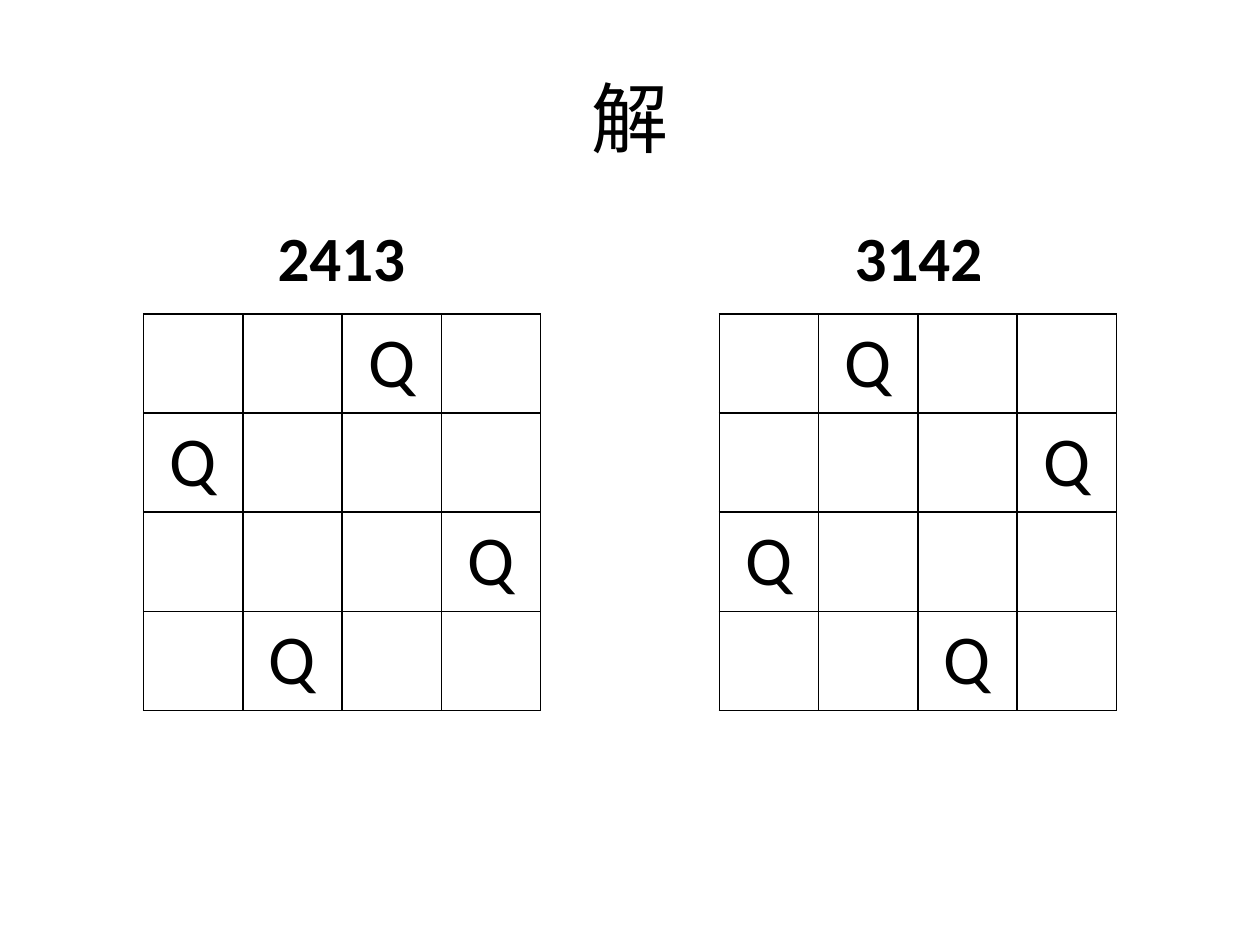
from lxml import etree
from pptx import Presentation
from pptx.dml.color import RGBColor
from pptx.enum.text import MSO_ANCHOR, PP_ALIGN
from pptx.oxml.ns import qn
from pptx.util import Inches, Pt

CENTER = PP_ALIGN.CENTER
MIDDLE, BOTTOM = MSO_ANCHOR.MIDDLE, MSO_ANCHOR.BOTTOM
INK = {"text": "000000", "line": "000000"}
WIDE, HIGH = 10, 7.5
EDGE = WIDE * 0.05
SIDE = 4
CELL = 0.7875
TOP = 2.49

deck = Presentation()
deck.slide_width, deck.slide_height = Inches(WIDE), Inches(HIGH)
slide = deck.slides.add_slide(deck.slide_layouts[6])


def write(frame, text, size, bold=False):
    para = frame.paragraphs[0]
    para.alignment = CENTER
    run = para.add_run()
    run.text = text
    look = {"name": "Calibri", "size": Pt(size), "bold": bold}
    for key, value in look.items():
        setattr(run.font, key, value)
    run.font.color.rgb = RGBColor.from_string(INK["text"])


def label(text, box, size, anchor, bold=False):
    frame = slide.shapes.add_textbox(*map(Inches, box)).text_frame
    frame.word_wrap = True
    frame.vertical_anchor = anchor
    write(frame, text, size, bold)


# Title
label("解", (EDGE, HIGH * 0.04, WIDE - 2 * EDGE, 1.25), 44, MIDDLE)

# Boards: each digit gives the queen's row in its column
for code, head, left in (("2413", EDGE, 1.14), ("3142", 5.08, 5.71)):
    label(code, (head, 1.68, 4.42, 0.7), 36, BOTTOM, True)
    box = map(Inches, (left, TOP, SIDE * CELL, SIDE * CELL))
    board = slide.shapes.add_table(SIDE, SIDE, *box).table
    board.first_row = board.horz_banding = False
    for row in range(SIDE):
        for col in range(SIDE):
            cell = board.cell(row, col)
            cell.vertical_anchor = MIDDLE
            if int(code[col]) == row + 1:
                write(cell.text_frame, "Q", 40)
            # Borders come before the fill in the cell's XML
            props = cell._tc.get_or_add_tcPr()
            for name in ("a:lnL", "a:lnR", "a:lnT", "a:lnB"):
                line = etree.SubElement(props, qn(name), w=str(Pt(1)))
                fill = etree.SubElement(line, qn("a:solidFill"))
                etree.SubElement(fill, qn("a:srgbClr"), val=INK["line"])
            cell.fill.background()

deck.save("out.pptx")
